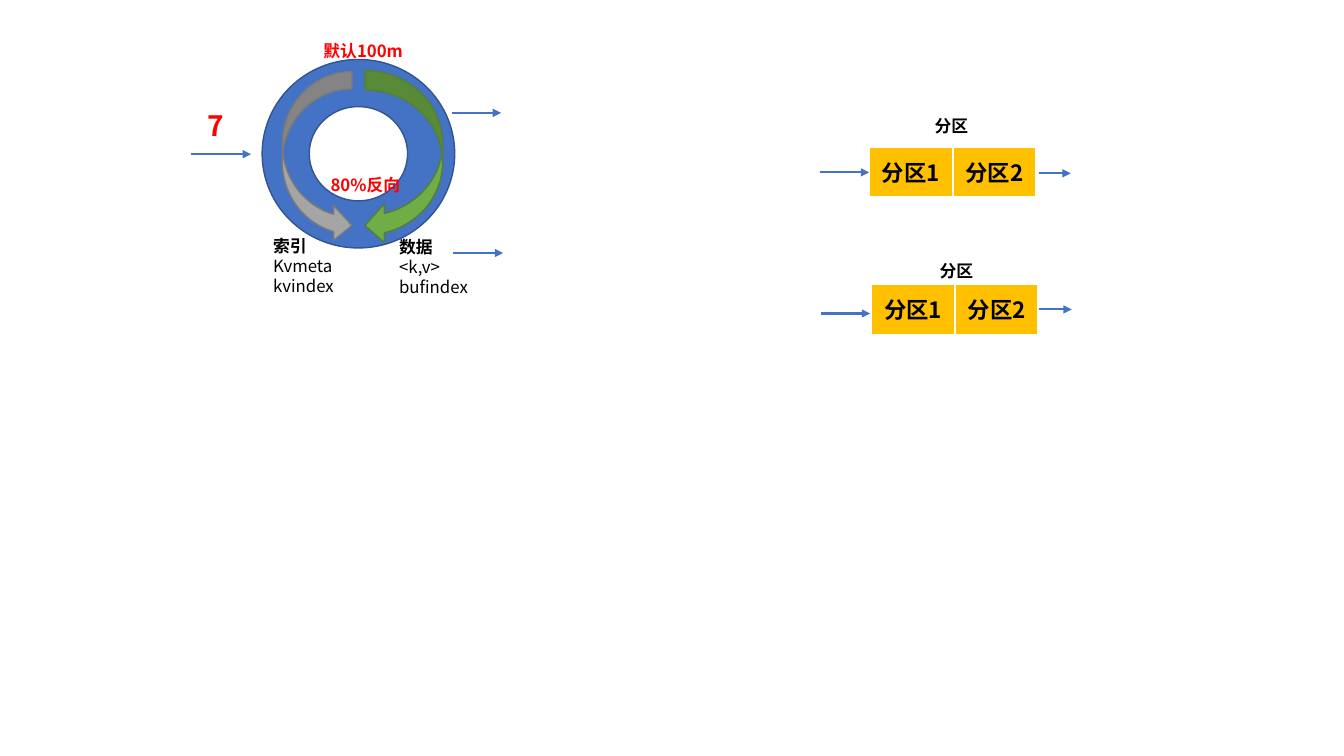
"""Build a slide of a ring buffer that spills into sorted partitions."""
from dataclasses import dataclass

from lxml import etree
from pptx import Presentation
from pptx import util as u
from pptx.dml import color
from pptx.enum import shapes, text
from pptx.oxml import ns

COLORS = {
    "blue": "4472C4", "blue_edge": "325491",
    "gray": "A5A5A5", "gray_edge": "7A7A7A",
    "green": "70AD47", "green_edge": "538035",
    "gold": "FFC000", "white": "FFFFFF", "black": "000000", "red": "FF0000",
}
FONT = "Noto Sans CJK SC"
CELL_WIDTH, CELL_HEIGHT = 0.83, 0.5


@dataclass(frozen=True)
class Block:
    """A filled preset shape."""
    kind: shapes.MSO_SHAPE
    left: float
    top: float
    width: float
    height: float
    fill: str
    edge: str
    edge_width: float = 1
    adjustments: tuple[float, ...] = ()
    caption: str = ""


@dataclass(frozen=True)
class Label:
    """A text box whose first line is bold."""
    left: float
    top: float
    width: float
    height: float
    lines: tuple[str, ...]
    color: str = "black"
    size: float = 12


@dataclass(frozen=True)
class Arrow:
    """A horizontal arrow pointing right."""
    left: float
    y: float
    length: float = 0.49


@dataclass(frozen=True)
class Partition:
    """The top left corner of a pair of partition cells."""
    left: float
    top: float


RING = [
    Block(shapes.MSO_SHAPE.DONUT, 2.6, 0.59, 1.91, 1.87, "blue", "blue_edge"),
    Block(shapes.MSO_SHAPE.CURVED_RIGHT_ARROW, 2.8, 0.71, 0.69, 1.7,
          "gray", "gray_edge", adjustments=(0.25, 0.5, 0.263)),
    Block(shapes.MSO_SHAPE.CURVED_LEFT_ARROW, 3.62, 0.7, 0.77, 1.73,
          "green", "green_edge"),
]
PARTITIONS = [Partition(8.62, 1.46), Partition(8.64, 2.82)]
LABELS = [
    Label(9.17, 1.1, 0.81, 0.3, ("分区",)),
    Label(9.22, 2.54, 0.81, 0.3, ("分区",)),
    Label(3.11, 0.36, 1.1, 0.3, ("默认100m",), "red"),
    Label(2.61, 2.29, 1.55, 0.71, ("索引", "Kvmeta", "kvindex")),
    Label(3.18, 1.68, 1.55, 0.3, ("80%反向",), "red"),
    Label(3.86, 2.3, 0.99, 0.71, ("数据", "<k,v>", "bufindex")),
    Label(1.96, 1.03, 0.68, 0.44, ("7",), "red", 20),
]
ARROWS = [
    Arrow(1.89, 1.53, 0.6),
    Arrow(4.48, 1.12), Arrow(4.49, 2.51, 0.5),
    Arrow(8.13, 1.71), Arrow(8.14, 3.11),
    Arrow(10.3, 1.72, 0.32), Arrow(10.31, 3.07, 0.32),
]


def rgb(name: str) -> color.RGBColor:
    """Return a named colour."""
    return color.RGBColor.from_string(COLORS[name])


def add_run(paragraph, content: str, size: float, ink: str, bold: bool) -> None:
    """Add one formatted run to a paragraph."""
    run = paragraph.add_run()
    run.text = content
    run.font.name = FONT
    run.font.size = u.Pt(size)
    run.font.bold = bold
    run.font.color.rgb = rgb(ink)
    etree.SubElement(run.font._element, ns.qn("a:ea"), typeface=FONT)


def add_block(slide, block: Block) -> None:
    """Draw a filled shape with its optional caption."""
    shape = slide.shapes.add_shape(
        block.kind, u.Inches(block.left), u.Inches(block.top),
        u.Inches(block.width), u.Inches(block.height))
    shape.shadow.inherit = False
    shape.fill.solid()
    shape.fill.fore_color.rgb = rgb(block.fill)
    shape.line.color.rgb = rgb(block.edge)
    shape.line.width = u.Pt(block.edge_width)
    for index, value in enumerate(block.adjustments):
        shape.adjustments[index] = value
    if block.caption:
        frame = shape.text_frame
        frame.word_wrap = False
        frame.vertical_anchor = text.MSO_ANCHOR.MIDDLE
        paragraph = frame.paragraphs[0]
        paragraph.alignment = text.PP_ALIGN.CENTER
        add_run(paragraph, block.caption, 16, "black", True)


def add_partition(slide, partition: Partition) -> None:
    """Draw two adjoining partition cells."""
    for index in range(2):
        add_block(slide, Block(
            shapes.MSO_SHAPE.RECTANGLE, partition.left + index * CELL_WIDTH,
            partition.top, CELL_WIDTH, CELL_HEIGHT, "gold", "white", 1.5,
            caption=f"分区{index + 1}"))


def add_label(slide, label: Label) -> None:
    """Draw a text box with one paragraph for each line."""
    box = slide.shapes.add_textbox(
        u.Inches(label.left), u.Inches(label.top),
        u.Inches(label.width), u.Inches(label.height))
    frame = box.text_frame
    frame.word_wrap = True
    frame.auto_size = text.MSO_AUTO_SIZE.SHAPE_TO_FIT_TEXT
    for index, line in enumerate(label.lines):
        paragraph = frame.add_paragraph() if index else frame.paragraphs[0]
        add_run(paragraph, line, label.size, label.color, index == 0)


def add_arrow(slide, arrow: Arrow) -> None:
    """Draw a connector with a triangular head."""
    connector = slide.shapes.add_connector(
        shapes.MSO_CONNECTOR.STRAIGHT,
        u.Inches(arrow.left), u.Inches(arrow.y),
        u.Inches(arrow.left + arrow.length), u.Inches(arrow.y))
    connector.line.color.rgb = rgb("blue")
    connector.line.width = u.Pt(1.5)
    properties = connector._element.spPr
    etree.SubElement(properties.find(ns.qn("a:ln")), ns.qn("a:tailEnd"), type="triangle")
    etree.SubElement(properties, ns.qn("a:effectLst"))


def main() -> None:
    """Build and save the slide."""
    presentation = Presentation()
    presentation.slide_width = u.Inches(13.33)
    presentation.slide_height = u.Inches(7.5)
    slide = presentation.slides.add_slide(presentation.slide_layouts[6])
    for partition in PARTITIONS:
        add_partition(slide, partition)
    for block in RING:
        add_block(slide, block)
    for label in LABELS:
        add_label(slide, label)
    for arrow in ARROWS:
        add_arrow(slide, arrow)
    presentation.save("out.pptx")


main()
